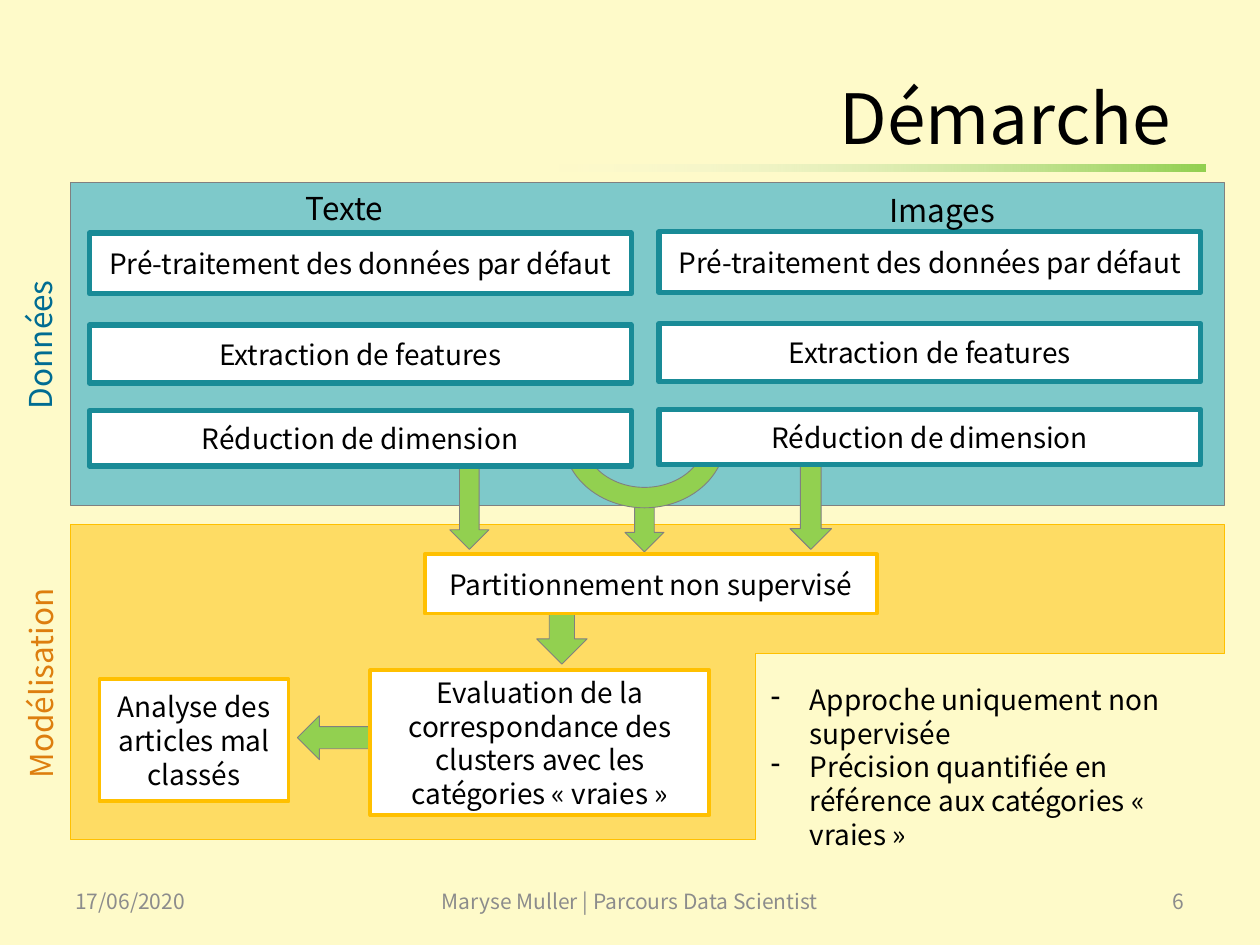
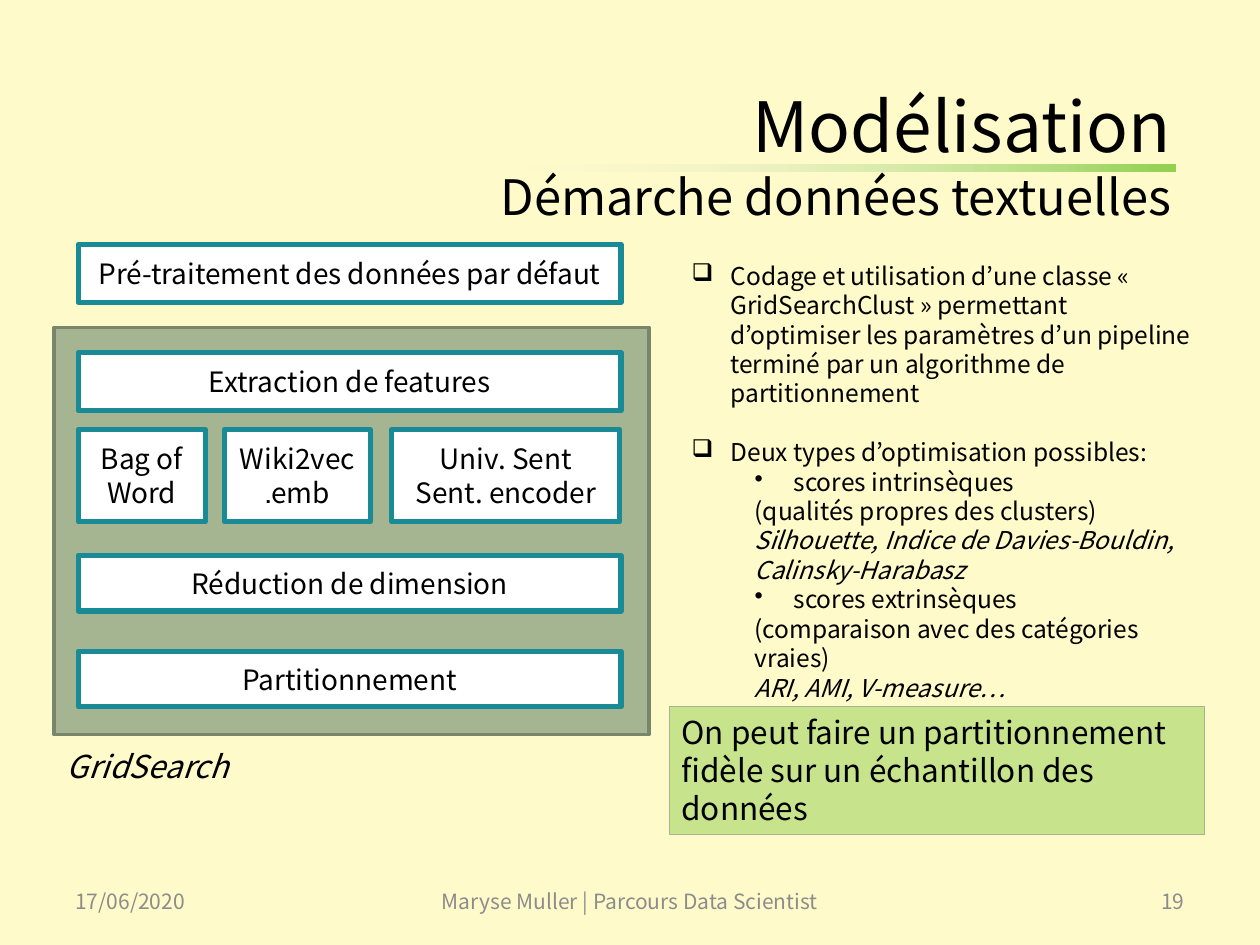
import pptx
import pptx.dml.color
import pptx.enum.shapes
import pptx.enum.text
import pptx.oxml.ns
import pptx.util
from lxml import etree

Inches = pptx.util.Inches
Pt = pptx.util.Pt
SHAPES = pptx.enum.shapes.MSO_SHAPE
ALIGN = pptx.enum.text.PP_ALIGN
ANCHOR = pptx.enum.text.MSO_ANCHOR
qn = pptx.oxml.ns.qn

FONT = "Noto Sans CJK JP"
CREAM, WHITE, BLACK = "FEFAC9", "FFFFFF", "000000"
TEAL, BLUE, AMBER, GREEN = "198B97", "0099CC", "FFC000", "92D050"
GREY, FOOTER_GREY = "808080", "8C8C8C"
SAGE, DARK_SAGE = "A5B592", "7A866C"

PREPARATION = "Pré-traitement des données par défaut"
EXTRACTION = "Extraction de features"
REDUCTION = "Réduction de dimension"


# Shared helpers
def colour(code):
    return pptx.dml.color.RGBColor.from_string(code)


def set_alpha(parent, percent):
    for node in parent.iter(qn("a:srgbClr")):
        etree.SubElement(node, qn("a:alpha")).set("val", str(percent * 1000))


def paint(shape, fill, line, weight, alpha=None):
    shape.shadow.inherit = False
    shape.fill.solid()
    shape.fill.fore_color.rgb = colour(fill)
    if alpha is not None:
        set_alpha(shape.fill._xPr.find(qn("a:solidFill")), alpha)
    shape.line.color.rgb = colour(line)
    shape.line.width = Pt(weight)


def style(para, size, color=BLACK, align=ALIGN.LEFT, italic=False):
    para.alignment = align
    for span in para.runs:
        span.font.name = FONT
        span.font.size = Pt(size)
        span.font.italic = italic
        span.font.color.rgb = colour(color)


def add_figure(page, kind, box, fill, line, weight=0.5, alpha=None):
    shape = page.shapes.add_shape(kind, *map(Inches, box))
    paint(shape, fill, line, weight, alpha)
    return shape


def add_text(page, text, box, size, color=BLACK, align=ALIGN.LEFT,
             anchor=ANCHOR.TOP, wrap=True, italic=False):
    label = page.shapes.add_textbox(*map(Inches, box))
    frame = label.text_frame
    frame.word_wrap = wrap
    frame.vertical_anchor = anchor
    frame.text = text
    style(frame.paragraphs[0], size, color, align, italic)
    return label


def add_step(page, text, box, line=TEAL, weight=3):
    """White outlined box with centred text."""
    step = add_figure(page, SHAPES.RECTANGLE, box, WHITE, line, weight)
    frame = step.text_frame
    frame.word_wrap = True
    frame.vertical_anchor = ANCHOR.MIDDLE
    frame.text = text
    style(frame.paragraphs[0], 16, align=ALIGN.CENTER)
    return step


def add_arrow(page, box, rotation=0):
    arrow = add_figure(page, SHAPES.DOWN_ARROW, box, GREEN, GREY)
    arrow.rotation = rotation


def set_bullet(para, symbol, margin, indent):
    props = para._p.get_or_add_pPr()
    props.set("marL", str(Inches(margin)))
    props.set("indent", str(Inches(indent)))
    if symbol:
        etree.SubElement(props, qn("a:buChar")).set("char", symbol)


def add_list(page, items, box, size):
    """Items are (text, symbol, margin, indent, italic, space before)."""
    frame = add_text(page, "", box, size).text_frame
    for index, (text, symbol, margin, indent, italic, gap) in enumerate(items):
        para = frame.add_paragraph() if index else frame.paragraphs[0]
        para.text = text
        style(para, size, italic=italic)
        para.space_before = Pt(gap)
        set_bullet(para, symbol, margin, indent)


# Parts common to both slides
def add_title(page, lines, top, rule_left):
    box = add_text(page, "", (1.2, top, 8.19, 1.17), 39.6)
    frame = box.text_frame
    frame.margin_top = frame.margin_bottom = 0
    frame.text = "\n".join(lines)
    for para, size in zip(frame.paragraphs, (39.6, 27.9)):
        style(para, size, align=ALIGN.RIGHT)

    rule = page.shapes.add_shape(
        SHAPES.RECTANGLE, *map(Inches, (rule_left, 1.31, 5.15, 0.05)))
    rule.shadow.inherit = False
    rule.line.fill.background()
    rule.fill.gradient()
    rule.fill.gradient_angle = 180
    stops = rule.fill.gradient_stops
    stops[0].color.rgb = colour(GREEN)
    stops[1].color.rgb = colour("EEF2EA")
    set_alpha(stops[1]._gs, 0)


def add_footer(page, number):
    for text, left, width, align in (
            ("17/06/2020", 0.5, 2.33, ALIGN.LEFT),
            ("Maryse Muller | Parcours Data Scientist", 3.15, 3.7, ALIGN.CENTER),
            (number, 7.17, 2.33, ALIGN.RIGHT)):
        add_text(page, text, (left, 6.95, width, 0.4), 12, FOOTER_GREY,
                 align, ANCHOR.MIDDLE)


def new_page(deck, number):
    page = deck.slides.add_slide(deck.slide_layouts[6])
    page.background.fill.solid()
    page.background.fill.fore_color.rgb = colour(CREAM)
    add_footer(page, number)
    return page


# Regions of the approach slide
def add_side_label(page, text, box, color):
    add_text(page, text, box, 18, color, wrap=False).rotation = 270


def add_bands(page, left, top):
    outline = [(0, 0), (9.16, 0), (9.16, 1.03), (5.44, 1.03), (5.44, 2.5), (0, 2.5)]
    points = [(Inches(left + x), Inches(top + 2.71 + y)) for x, y in outline]
    builder = page.shapes.build_freeform(*points[0])
    builder.add_line_segments(points[1:], close=True)
    paint(builder.convert_to_shape(), AMBER, AMBER, 0.5, 50)
    add_figure(page, SHAPES.RECTANGLE, (left, top, 9.16, 2.56), BLUE, GREY, alpha=50)
    add_side_label(page, "Modélisation", (-0.53, 5.22, 1.71, 0.4), "DD7E0E")
    add_side_label(page, "Données", (-0.3, 2.53, 1.23, 0.4), "006C92")


def add_flow_arrows(page):
    add_arrow(page, (2.57, 5.47, 0.35, 0.77), 90)
    for box in ((4.96, 3.96, 0.31, 0.42), (3.57, 3.68, 0.31, 0.68),
                (6.27, 3.67, 0.33, 0.69), (4.26, 4.68, 0.4, 0.59)):
        add_arrow(page, box)
    arc = add_figure(page, SHAPES.BLOCK_ARC, (4.47, 2.92, 1.29, 1.11), GREEN, GREY)
    arc.rotation = 180
    for index, value in enumerate((108, 3.436, 0.146)):
        arc.adjustments[index] = value


def add_data_column(page, left, top):
    for text, offset, height in ((PREPARATION, 0, 0.48), (EXTRACTION, 0.73, 0.46),
                                 (REDUCTION, 1.41, 0.44)):
        add_step(page, text, (left, top + offset, 4.3, height))


def add_model_steps(page):
    for text, box in (
            ("Analyse des articles mal classés", (0.79, 5.39, 1.5, 0.97)),
            ("Partitionnement non supervisé", (3.37, 4.4, 3.59, 0.47)),
            ("Evaluation de la correspondance des clusters avec les "
             "catégories « vraies »", (2.94, 5.32, 2.69, 1.15))):
        add_step(page, text, box, AMBER, 2.25)


def build_approach(deck):
    page = new_page(deck, "6")
    add_bands(page, 0.56, 1.45)
    add_flow_arrows(page)
    add_title(page, ["Démarche"], 0.6, 4.42)
    add_data_column(page, 0.71, 1.85)
    add_data_column(page, 5.23, 1.84)
    add_model_steps(page)
    add_text(page, "Texte", (2.33, 1.45, 0.85, 0.4), 18, wrap=False)
    add_text(page, "Images", (6.96, 1.47, 1.04, 0.4), 18, wrap=False)
    remarks = ("Approche uniquement non supervisée",
               "Précision quantifiée en référence aux catégories « vraies »")
    add_list(page, [(text, "-", 0.31, -0.31, False, 0) for text in remarks],
             (6.02, 5.37, 3.7, 1.45), 16)


# Regions of the text modelling slide
def add_grid_search(page, left, top):
    add_figure(page, SHAPES.RECTANGLE, (left, top, 4.72, 3.23), SAGE, DARK_SAGE, 2)
    inner = left + 0.19
    for text, offset, height in (
            (PREPARATION, -0.66, 0.46), (EXTRACTION, 0.2, 0.46),
            (REDUCTION, 1.81, 0.44), ("Partitionnement", 2.57, 0.44)):
        add_step(page, text, (inner, top + offset, 4.31, height))

    # Feature encoders
    encoders = [add_step(page, text, (inner + offset, top + 0.81, width, 0.73))
                for text, offset, width in (
                    ("Bag of Word", 0, 1.01), ("Wiki2vec emb.", 1.16, 1.16),
                    ("Univ. Sent Sent. encoder", 2.49, 1.81))]
    encoders[1].text_frame.paragraphs[0]._p.get_or_add_pPr().set("rtl", "1")
    add_text(page, "GridSearch", (left, top + 3.28, 1.5, 0.4), 18,
             wrap=False, italic=True)


def add_scores(page, box):
    main = ("❑", 0.31, -0.31, False)
    score = ("•", 0.81, -0.31, False)
    detail = (None, 0.5, 0, False)
    names = (None, 0.5, 0, True)
    add_list(page, [
        ("Codage et utilisation d’une classe « GridSearchClust » permettant "
         "d’optimiser les paramètres d’un pipeline terminé par un algorithme "
         "de partitionnement", *main, 0),
        ("Deux types d’optimisation possibles:", *main, 16.8),
        ("scores intrinsèques", *score, 0),
        ("(qualités propres des clusters)", *detail, 0),
        ("Silhouette, Indice de Davies-Bouldin, Calinsky-Harabasz", *names, 0),
        ("scores extrinsèques", *score, 0),
        ("(comparaison avec des catégories vraies)", *detail, 0),
        ("ARI, AMI, V-measure…", *names, 0),
    ], box, 14)


def add_conclusion(page, box):
    note = add_figure(page, SHAPES.RECTANGLE, box, GREEN, SAGE, alpha=50)
    frame = note.text_frame
    frame.word_wrap = True
    frame.vertical_anchor = ANCHOR.TOP
    frame.text = ("On peut faire un partitionnement fidèle sur un échantillon "
                  "des données")
    style(frame.paragraphs[0], 18)


def build_text_modelling(deck):
    page = new_page(deck, "19")
    add_title(page, ["Modélisation", "Démarche données textuelles"], 0.66, 4.18)
    add_grid_search(page, 0.43, 2.6)
    add_conclusion(page, (5.31, 5.61, 4.25, 1.01))
    add_scores(page, (5.39, 2.02, 4.17, 3.4))


def main():
    deck = pptx.Presentation()
    deck.slide_width = Inches(10)
    deck.slide_height = Inches(7.5)
    build_approach(deck)
    build_text_modelling(deck)
    deck.save("out.pptx")


if __name__ == "__main__":
    main()
